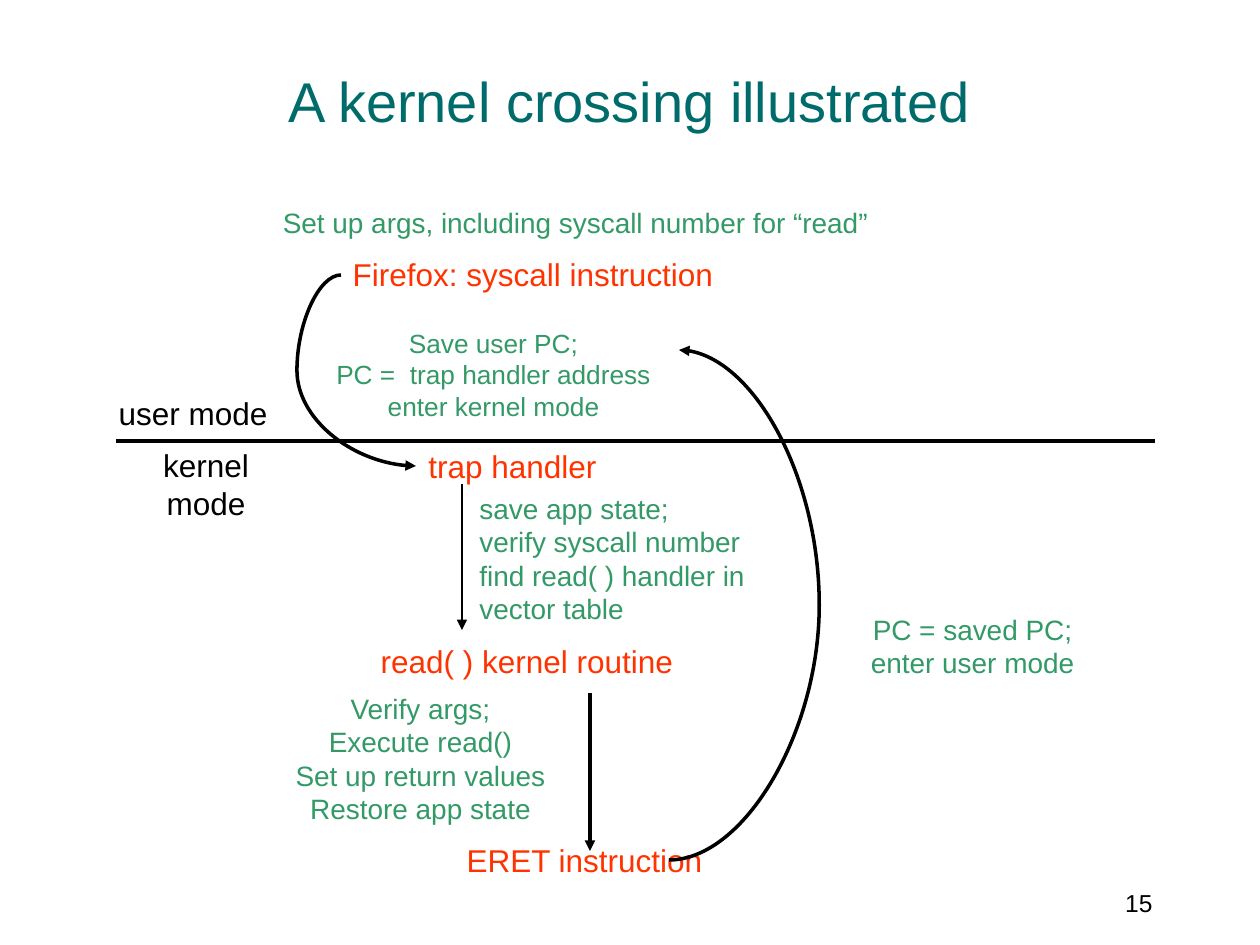
"""Build the slide that traces a system call across the kernel boundary."""
from lxml.etree import SubElement
from pptx import Presentation
from pptx.dml.color import RGBColor
from pptx.enum.shapes import MSO_CONNECTOR
from pptx.enum.text import MSO_ANCHOR, MSO_AUTO_SIZE, PP_ALIGN
from pptx.oxml.ns import qn
from pptx.util import Pt

COLORS = {"title": "006B6B", "ink": "000000", "stage": "FF3300", "detail": "339966"}
EMU_PER_PX = 914400 / 126


def px(length):
    return round(length * EMU_PER_PX)


def write(frame, text, *, size, color, align=PP_ALIGN.CENTER, wrap=True,
          anchor=MSO_ANCHOR.TOP, fit=MSO_AUTO_SIZE.SHAPE_TO_FIT_TEXT):
    frame.word_wrap = wrap
    frame.auto_size = fit
    frame.vertical_anchor = anchor
    paragraph = frame.paragraphs[0]
    paragraph.text = text
    paragraph.alignment = align
    for run in paragraph.runs:
        run.font.name = "Arial"
        run.font.size = Pt(size)
        run.font.color.rgb = RGBColor.from_string(COLORS[color])


class Deck:
    """Holds the presentation, its style and the current slide."""

    def __init__(self, width, height):
        self.presentation = Presentation()
        self.presentation.slide_width = px(width)
        self.presentation.slide_height = px(height)
        self.slide = self.presentation.slides.add_slide(self.presentation.slide_layouts[5])

    def title(self, text, left, top, width, height):
        heading = self.slide.shapes.title
        heading.left, heading.top = px(left), px(top)
        heading.width, heading.height = px(width), px(height)
        write(heading.text_frame, text, size=32, color="title",
              anchor=MSO_ANCHOR.MIDDLE, fit=MSO_AUTO_SIZE.NONE)

    def label(self, text, left, top, width, height, **style):
        box = self.slide.shapes.add_textbox(px(left), px(top), px(width), px(height))
        write(box.text_frame, text, **style)

    def line(self, start, end, width, arrow=True, kind=MSO_CONNECTOR.STRAIGHT):
        connector = self.slide.shapes.add_connector(kind, *map(px, start + end))
        connector.line.color.rgb = RGBColor.from_string(COLORS["ink"])
        connector.line.width = Pt(width)
        if arrow:
            SubElement(connector.line._get_or_add_ln(), qn("a:tailEnd"), type="triangle")
        SubElement(connector._element.spPr, qn("a:effectLst"))
        return connector

    def curve(self, start, end, bend_x):
        connector = self.line(start, end, 0, kind=MSO_CONNECTOR.CURVE)
        bend = round((bend_x - start[0]) / (end[0] - start[0]) * 100000)
        geometry = connector._element.spPr.find(qn("a:prstGeom"))
        guides = geometry.find(qn("a:avLst"))
        if guides is None:
            guides = SubElement(geometry, qn("a:avLst"))
        SubElement(guides, qn("a:gd"), name="adj1", fmla=f"val {bend}")

    def save(self):
        self.presentation.save("out.pptx")


def main():
    deck = Deck(1260, 945)
    deck.title("A kernel crossing illustrated", 94, 53, 1071, 95)
    deck.line((116, 441), (1155, 441), 2.25, arrow=False)

    modes = [("user mode", 106, 388, 174), ("kernel mode", 107, 440, 198)]
    stages = [
        ("Firefox: syscall instruction", 340, 249, 386),
        ("trap handler", 416, 441, 193),
        ("read( ) kernel routine", 368, 636, 318),
        ("ERET instruction", 454, 835, 261),
    ]
    for color, names in (("ink", modes), ("stage", stages)):
        for name, left, top, width in names:
            deck.label(name, left, top, width, 50, size=18, color=color, wrap=False)

    details = [
        ("Set up args, including syscall number for “read”",
         224, 199, 703, 47, 16, PP_ALIGN.CENTER),
        ("Save user PC;\nPC =  trap handler address\nenter kernel mode",
         263, 321, 461, 107, 15, PP_ALIGN.CENTER),
        ("save app state;\nverify syscall number\nfind read( ) handler in vector table",
         467, 485, 350, 147, 16, PP_ALIGN.LEFT),
        ("Verify args;\nExecute read()\nSet up return values\nRestore app state",
         258, 685, 325, 147, 16, PP_ALIGN.CENTER),
        ("PC = saved PC;\nenter user mode",
         769, 606, 407, 80, 16, PP_ALIGN.CENTER),
    ]
    for text, left, top, width, height, size, align in details:
        deck.label(text, left, top, width, height, size=size, color="detail", align=align)

    deck.line((462, 484), (462, 630), 1)
    deck.line((590, 693), (590, 851), 0)
    deck.curve((341, 275), (416, 466), 297)
    deck.curve((669, 860), (679, 350), 819)

    deck.label("15", 903, 882, 262, 43, size=14, color="ink",
               align=PP_ALIGN.RIGHT, fit=MSO_AUTO_SIZE.NONE)
    deck.save()


if __name__ == "__main__":
    main()
